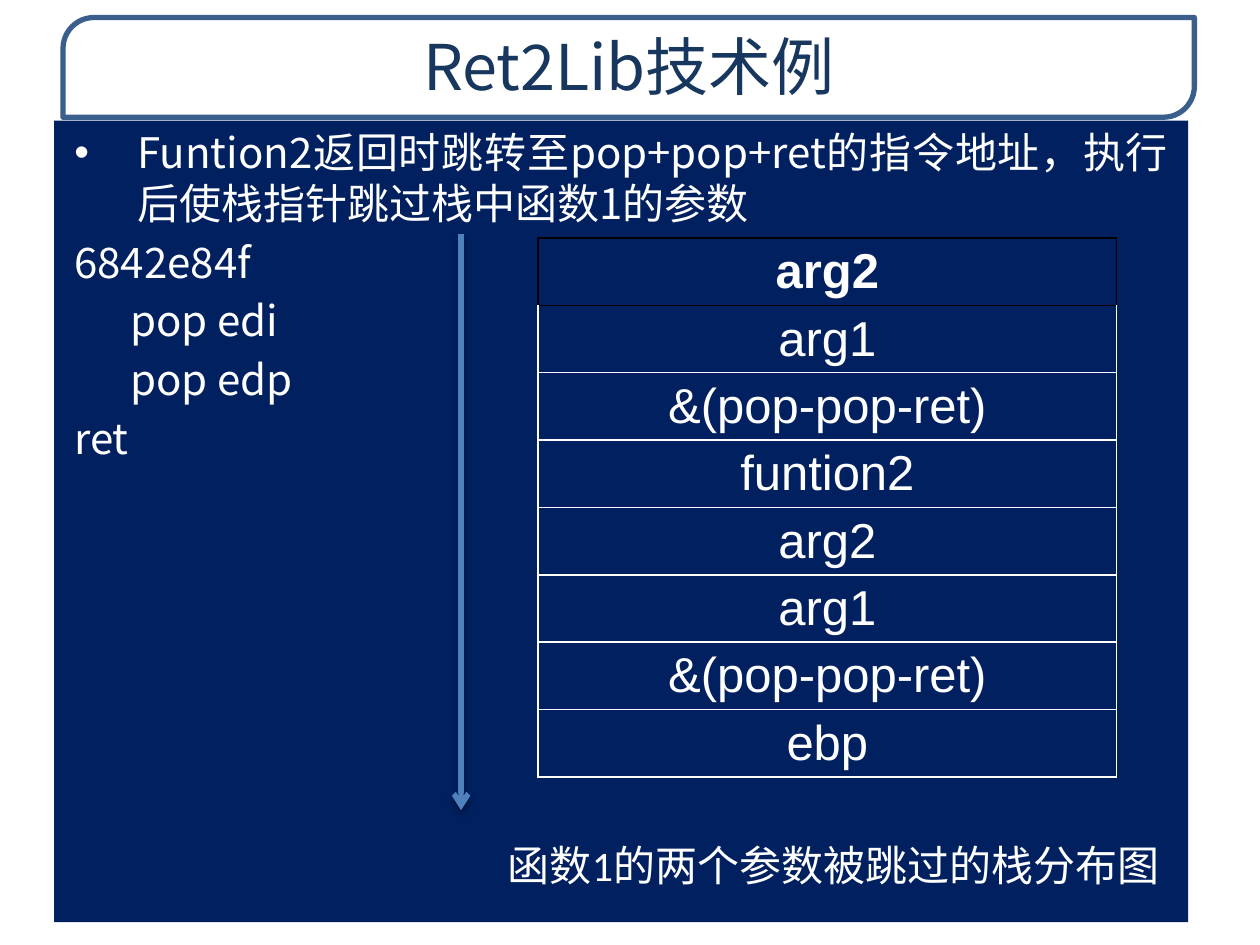
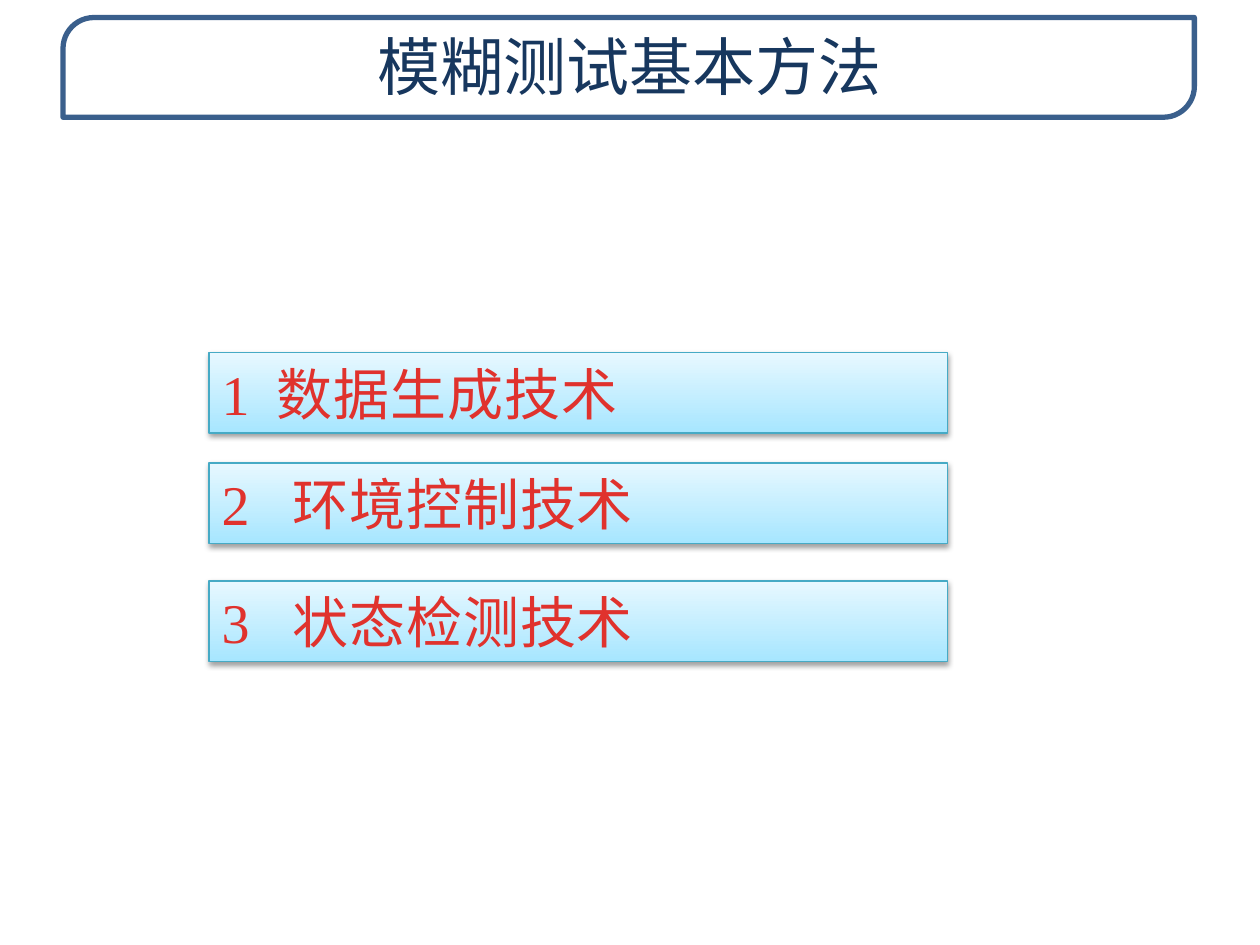
from lxml.etree import SubElement
from pptx import Presentation
from pptx.dml.color import RGBColor
from pptx.enum.shapes import MSO_CONNECTOR as Connector, MSO_SHAPE as Shape
from pptx.enum.text import MSO_ANCHOR as Anchor, PP_ALIGN as Align
from pptx.oxml.ns import qn
from pptx.util import Pt

COLORS = {name: RGBColor.from_string(value) for name, value in {
    "white": "FFFFFF", "black": "000000", "navy": "002060", "title": "17375E",
    "frame": "3A5F8C", "arrow": "4F81BD", "topic_line": "46AAC5",
    "topic_bottom": "A7E6FF", "topic_top": "E7F8FF", "topic_text": "E0322D",
}.items()}
CJK_FONT = "Noto Sans CJK SC"
TITLES = ["Ret2Lib技术例", "模糊测试基本方法"]


def write_text(frame, text, size=24, font=CJK_FONT, color="white", bold=False,
               align=Align.CENTER, tracking=None):
    """Fill the empty first paragraph, or add one, and return it."""
    first = frame.paragraphs[0]
    para = frame.add_paragraph() if first.runs else first
    para.alignment = align
    span = para.add_run()
    span.text = text
    span.font.size = Pt(size)
    span.font.name = font
    span.font.bold = bold
    span.font.color.rgb = COLORS[color]
    properties = span.font._element
    SubElement(properties, qn("a:ea"), typeface=CJK_FONT)
    if tracking:
        properties.set("spc", str(int(tracking * 100)))
    return para


def drop_shadow(shape, distance, opacity):
    """Cast a soft black shadow straight down."""
    effects = SubElement(shape._element.spPr, qn("a:effectLst"))
    shadow = SubElement(effects, qn("a:outerShdw"), blurRad=str(Pt(3.1)),
                        dist=str(Pt(distance)), dir="5400000", rotWithShape="0")
    tint = SubElement(shadow, qn("a:srgbClr"), val=str(COLORS["black"]))
    SubElement(tint, qn("a:alpha"), val=str(opacity * 1000))


deck = Presentation()
deck.slide_width, deck.slide_height = Pt(720), Pt(540)

# Shared title and its frame
pages = []
for title_text in TITLES:
    page = deck.slides.add_slide(deck.slide_layouts[5])
    frame = page.shapes.add_shape(Shape.ROUND_2_DIAG_RECTANGLE,
                                  Pt(36), Pt(10), Pt(646.5), Pt(57))
    frame.adjustments[0] = 0.31
    frame.shadow.inherit = False
    frame.fill.solid()
    frame.fill.fore_color.rgb = COLORS["white"]
    frame.line.color.rgb = COLORS["frame"]
    frame.line.width = Pt(3)
    title = page.shapes.title
    title._element.addprevious(frame._element)
    title.left, title.top, title.width, title.height = Pt(36.5), Pt(10), Pt(646), Pt(55)
    title.text_frame.vertical_anchor = Anchor.MIDDLE
    write_text(title.text_frame, title_text, size=36, color="title")
    pages.append(page)
stack_page, topics_page = pages

# Navy panels: explanation and caption
panels = []
for left, top, width, height in [(31, 69, 648, 458), (275, 468.5, 402.5, 51)]:
    panel = stack_page.shapes.add_shape(Shape.RECTANGLE, Pt(left), Pt(top), Pt(width), Pt(height))
    panel.shadow.inherit = False
    panel.fill.solid()
    panel.fill.fore_color.rgb = COLORS["navy"]
    panel.line.fill.background()
    panel.text_frame.word_wrap = True
    panels.append(panel)
explanation, caption = (panel.text_frame for panel in panels)

explanation.vertical_anchor = Anchor.TOP
explanation.margin_left = explanation.margin_right = Pt(11.5)
for text, margin, bulleted in [
    ("Funtion2返回时跳转至pop+pop+ret的指令地址，执行后使栈指针跳过栈中函数1的参数", 36, True),
    ("6842e84f", 36, False),
    ("pop edi", 68, False),
    ("pop edp", 68, False),
    ("ret", 36, False),
]:
    para = write_text(explanation, text, align=Align.JUSTIFY)
    para.line_spacing = Pt(28.8)
    para.space_before = Pt(4.8)
    properties = para._p.get_or_add_pPr()
    properties.set("marL", str(Pt(margin)))
    properties.set("indent", str(Pt(-36)))
    if bulleted:
        SubElement(properties, qn("a:buFont"), typeface="Arial")
        SubElement(properties, qn("a:buChar"), char="•")
    else:
        SubElement(properties, qn("a:buNone"))

caption.vertical_anchor = Anchor.MIDDLE
write_text(caption, "函数1的两个参数被跳过的栈分布图", font="Calibri")

# Stack table
STACK = ["arg2", "arg1", "&(pop-pop-ret)", "funtion2",
         "arg2", "arg1", "&(pop-pop-ret)", "ebp"]
ROW_HEIGHT = 38.5
table = stack_page.shapes.add_table(len(STACK), 1, Pt(307.5), Pt(136), Pt(330.5),
                                    Pt(ROW_HEIGHT * len(STACK))).table
for index, entry in enumerate(STACK):
    table.rows[index].height = Pt(ROW_HEIGHT)
    cell = table.cell(index, 0)
    cell.margin_top = cell.margin_bottom = Pt(3)
    cell.vertical_anchor = Anchor.MIDDLE
    for side in "LRTB":
        is_black = index == 0 or (index == 1 and side == "T")
        border = SubElement(cell._tc.get_or_add_tcPr(), qn(f"a:ln{side}"), w=str(Pt(1)))
        fill = SubElement(border, qn("a:solidFill"))
        SubElement(fill, qn("a:srgbClr"), val=str(COLORS["black" if is_black else "white"]))
    cell.fill.solid()
    cell.fill.fore_color.rgb = COLORS["navy"]
    write_text(cell.text_frame, entry, size=28, font="Arial", bold=index == 0)

# Arrow showing the direction of the stack
arrow = stack_page.shapes.add_connector(Connector.STRAIGHT, Pt(263.5), Pt(134), Pt(263.5), Pt(463))
arrow.line.color.rgb = COLORS["arrow"]
arrow.line.width = Pt(3)
SubElement(arrow.line._get_or_add_ln(), qn("a:tailEnd"), type="arrow")
drop_shadow(arrow, distance=1.8, opacity=35)

# Topic bars
for number, (topic, top, tab) in enumerate([
    ("数据生成技术", 201.5, 31.5),
    ("环境控制技术", 264.5, 40.5),
    ("状态检测技术", 332, 40.5),
], start=1):
    bar = topics_page.shapes.add_shape(Shape.RECTANGLE, Pt(119.5), Pt(top), Pt(422), Pt(46))
    bar.fill.gradient()
    bar.fill.gradient_angle = 90
    for stop, color in zip(bar.fill.gradient_stops, ["topic_bottom", "topic_top"]):
        stop.color.rgb = COLORS[color]
    bar.line.color.rgb = COLORS["topic_line"]
    bar.line.width = Pt(0.75)
    drop_shadow(bar, distance=1.6, opacity=38)
    bar.text_frame.word_wrap = True
    bar.text_frame.vertical_anchor = Anchor.MIDDLE
    para = write_text(bar.text_frame, f"{number}\t{topic}", size=32, font="Times New Roman",
                      color="topic_text", align=Align.LEFT, tracking=0.5)
    tabs = SubElement(para._p.get_or_add_pPr(), qn("a:tabLst"))
    SubElement(tabs, qn("a:tab"), pos=str(Pt(tab)), algn="l")

deck.save("out.pptx")
